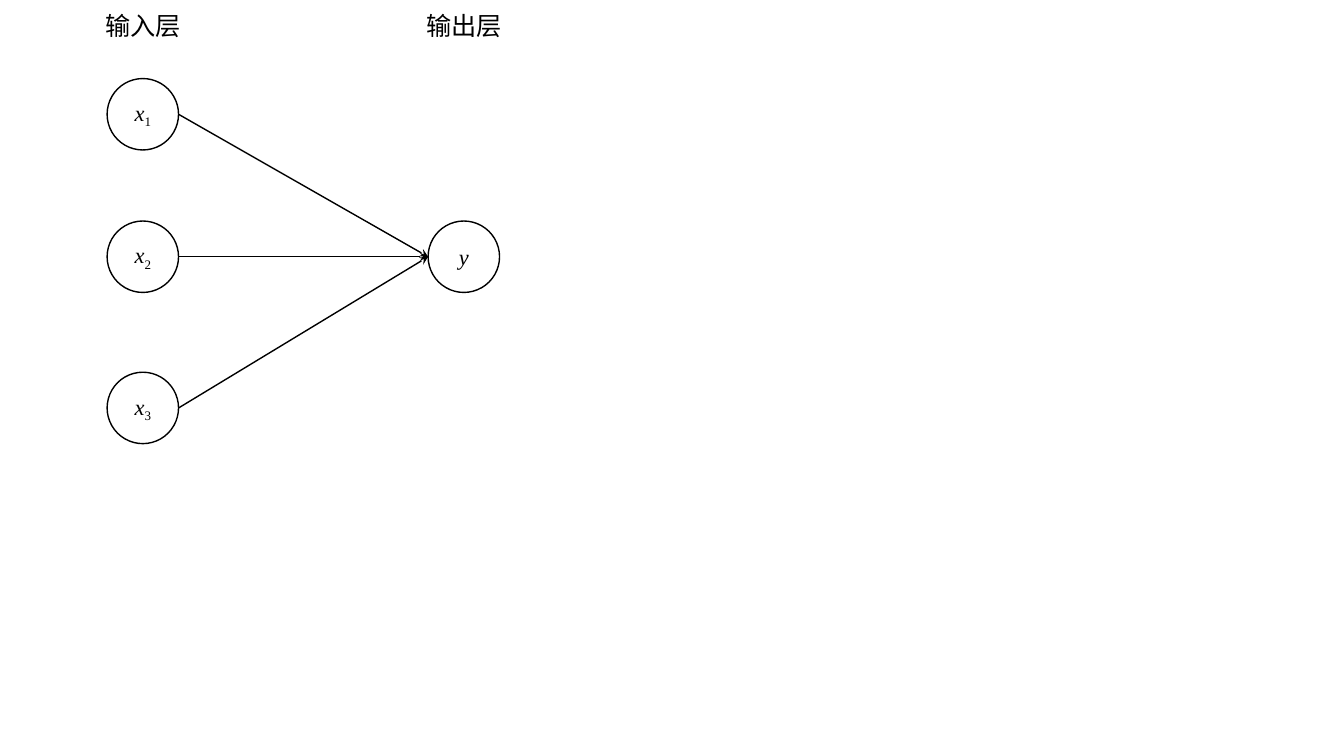
from dataclasses import dataclass

from pptx import Presentation
from pptx.dml.color import RGBColor
from pptx.enum.shapes import MSO_CONNECTOR, MSO_SHAPE
from pptx.enum.text import MSO_ANCHOR, MSO_AUTO_SIZE, PP_ALIGN
from pptx.oxml.ns import qn
from pptx.util import Cm, Pt

OVAL = MSO_SHAPE.OVAL
STRAIGHT = MSO_CONNECTOR.STRAIGHT
CENTER = PP_ALIGN.CENTER
MIDDLE = MSO_ANCHOR.MIDDLE
GROW = MSO_AUTO_SIZE.SHAPE_TO_FIT_TEXT


@dataclass(frozen=True)
class Theme:
    ink: RGBColor = RGBColor(0, 0, 0)
    paper: RGBColor = RGBColor(255, 255, 255)
    math_font: str = "Times New Roman"
    label_font: str = "Noto Sans CJK JP"
    math_size: Pt = Pt(16)
    label_size: Pt = Pt(18)
    line_width: Pt = Pt(1)


THEME = Theme()
DIAMETER = 1.8
INPUT_X, OUTPUT_X = 3.6, 11.69
INPUT_ROWS = (2.88, 6.47, 10.28)
OUTPUT_ROW = INPUT_ROWS[1]
LABEL_TOP, LABEL_WIDTH, LABEL_HEIGHT = 0.13, 2.57, 1.02


def add_run(paragraph, text, font_name, size, italic=False, subscript=False):
    run = paragraph.add_run()
    run.text = text
    run.font.name = font_name
    run.font.size = size
    run.font.italic = italic
    run.font.color.rgb = THEME.ink
    properties = run._r.get_or_add_rPr()
    east_asian = properties.makeelement(qn("a:ea"), {"typeface": font_name})
    properties.find(qn("a:latin")).addnext(east_asian)
    if subscript:
        properties.set("baseline", "-25000")


def add_neuron(slide, center_x, center_y, symbol, index=""):
    radius = DIAMETER / 2
    shape = slide.shapes.add_shape(
        OVAL, Cm(center_x - radius), Cm(center_y - radius), Cm(DIAMETER), Cm(DIAMETER)
    )
    shape.shadow.inherit = False
    shape.fill.solid()
    shape.fill.fore_color.rgb = THEME.paper
    shape.line.color.rgb = THEME.ink
    shape.line.width = THEME.line_width
    shape.text_frame.vertical_anchor = MIDDLE
    paragraph = shape.text_frame.paragraphs[0]
    paragraph.alignment = CENTER
    add_run(paragraph, symbol, THEME.math_font, THEME.math_size, italic=True)
    if index:
        add_run(paragraph, index, THEME.math_font, THEME.math_size, subscript=True)


def add_arrow(slide, start_y):
    radius = DIAMETER / 2
    connector = slide.shapes.add_connector(
        STRAIGHT, Cm(INPUT_X + radius), Cm(start_y), Cm(OUTPUT_X - radius), Cm(OUTPUT_ROW)
    )
    connector.line.color.rgb = THEME.ink
    connector.line.width = THEME.line_width
    outline = connector.line._get_or_add_ln()
    outline.append(outline.makeelement(qn("a:tailEnd"), {"type": "stealth"}))
    outline.addnext(outline.makeelement(qn("a:effectLst"), {}))


def add_layer_label(slide, center_x, text):
    box = slide.shapes.add_textbox(
        Cm(center_x - LABEL_WIDTH / 2), Cm(LABEL_TOP), Cm(LABEL_WIDTH), Cm(LABEL_HEIGHT)
    )
    box.text_frame.word_wrap = False
    box.text_frame.auto_size = GROW
    paragraph = box.text_frame.paragraphs[0]
    paragraph.alignment = CENTER
    add_run(paragraph, text, THEME.label_font, THEME.label_size)


def main():
    presentation = Presentation()
    presentation.slide_width = Cm(33.87)
    presentation.slide_height = Cm(19.05)
    slide = presentation.slides.add_slide(presentation.slide_layouts[6])

    for number, row in enumerate(INPUT_ROWS, start=1):
        add_neuron(slide, INPUT_X, row, "x", str(number))
    add_neuron(slide, OUTPUT_X, OUTPUT_ROW, "y")
    for row in INPUT_ROWS:
        add_arrow(slide, row)
    add_layer_label(slide, INPUT_X, "输入层")
    add_layer_label(slide, OUTPUT_X, "输出层")

    presentation.save("out.pptx")


if __name__ == "__main__":
    main()
